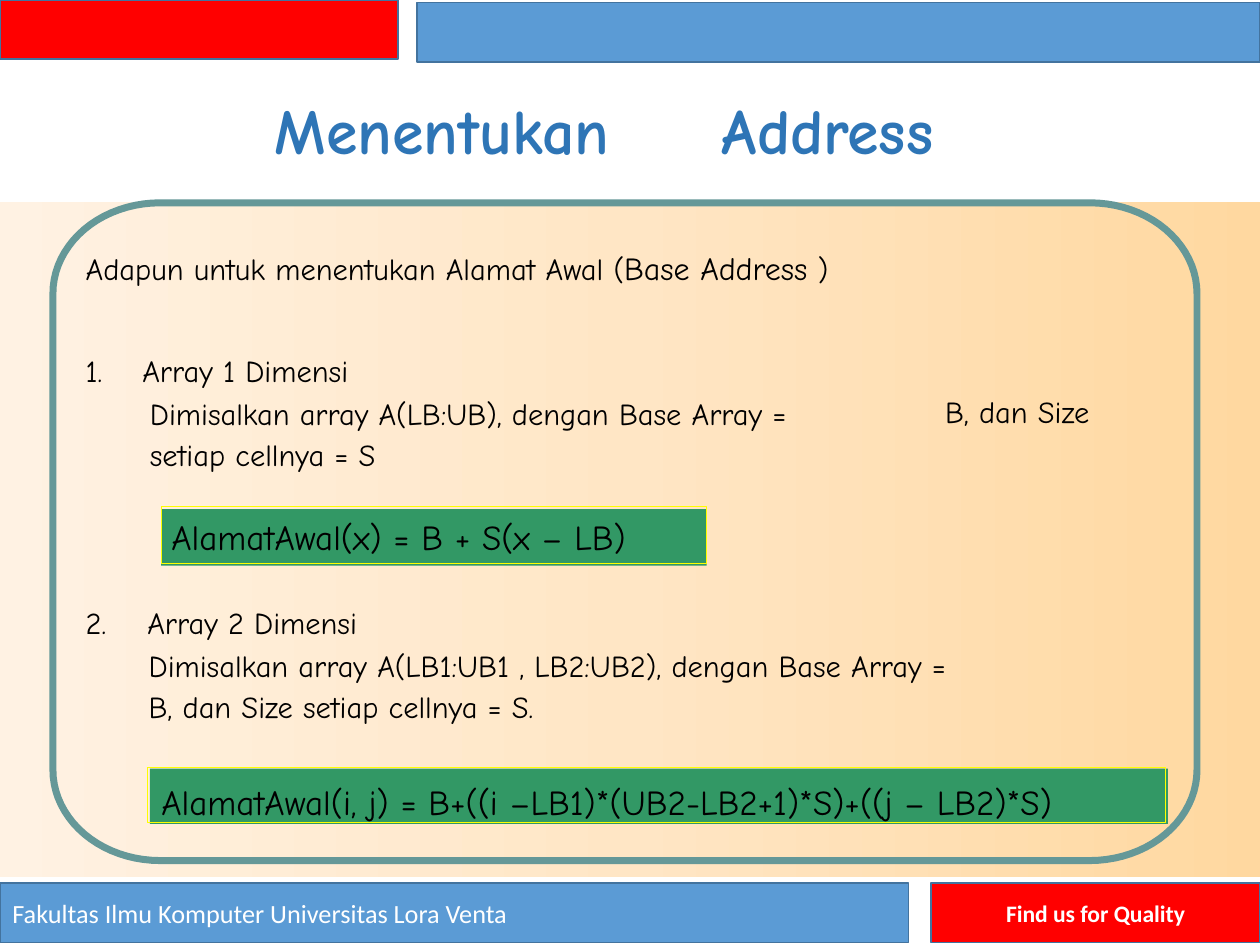
from copy import deepcopy
from math import cos, pi, sin

from pptx import Presentation
from pptx.dml.color import RGBColor
from pptx.enum.shapes import MSO_SHAPE
from pptx.enum.text import MSO_ANCHOR, MSO_AUTO_SIZE, PP_ALIGN
from pptx.oxml.ns import qn
from pptx.util import Inches, Pt

RECT = MSO_SHAPE.RECTANGLE
TOP, MIDDLE = MSO_ANCHOR.TOP, MSO_ANCHOR.MIDDLE
LEFT, CENTER = PP_ALIGN.LEFT, PP_ALIGN.CENTER
NO_FIT = MSO_AUTO_SIZE.NONE

RED = RGBColor(0xFF, 0x00, 0x00)
BLUE = RGBColor(0x5B, 0x9B, 0xD5)
NAVY = RGBColor(0x43, 0x73, 0x9E)
TITLE = RGBColor(0x2E, 0x75, 0xB6)
TEAL = RGBColor(0x65, 0x98, 0x98)
GREEN = RGBColor(0x32, 0x98, 0x65)
YELLOW = RGBColor(0xFE, 0xFE, 0x00)
BLACK = RGBColor(0, 0, 0)
WHITE = RGBColor(0xFF, 0xFF, 0xFF)
SAND = [(0, RGBColor(0xFF, 0xD8, 0xA0)),
        (0.5, RGBColor(0xFF, 0xE6, 0xC5)),
        (1, RGBColor(0xFF, 0xF2, 0xE3))]

COMIC, SANS = "Comic Neue", "Calibri"

# box, fill, text, size, bold, alignment
BARS = [
    ((0, 0, 3.16, 0.47), RED, "", 15, False, LEFT),
    ((3.31, 0.02, 6.69, 0.47), BLUE, "", 15, False, LEFT),
    ((0, 7.01, 7.21, 0.47), BLUE,
     "Fakultas Ilmu Komputer Universitas Lora Venta", 15, False, LEFT),
    ((7.39, 7.01, 2.61, 0.47), RED, "Find us for Quality", 13.5, True, CENTER),
]

# green panel, yellow outline
PANELS = [
    ((1.28, 4.04, 4.33, 0.45), (1.28, 4.02, 4.33, 0.45)),
    ((1.19, 6.1, 8.08, 0.44), (1.17, 6.09, 8.08, 0.44)),
]

# paragraph formats; shift is the raised baseline in percent
HEAD = dict(size=63, shift=1, indent=0.01, line=Pt(44), before=2.2,
            color=TITLE, bold=True)
LEAD = dict(size=30, shift=2, indent=0.01, line=Pt(23.1), before=1.1)
MARK = dict(LEAD, line=Pt(22))
NAME = dict(LEAD, shift=4, line=Pt(22.6))
FORMULA = dict(size=20, shift=0, indent=0.11, line=1.16, before=1)


def body(indent):
    first = dict(LEAD, indent=indent, line=Pt(24), before=0.1)
    return first, dict(first, shift=1, line=Pt(23.4), before=0)


ONE, ONE_END = body(0.07)
TWO, TWO_END = body(0.02)

HEADS = [("Menentukan", (2.17, 0.8, 3.42, 0.61)),
         ("Address", (5.72, 0.8, 2.4, 0.61))]

# box, paragraphs of (runs of (text, size), format)
TEXTS = [
    ((0.67, 2, 7.86, 0.32),
     [([("Adapun untuk menentukan Alamat Awal (", 30),
        ("Base Address ", 31.5), (")", 30)], LEAD)]),
    ((0.67, 2.82, 0.26, 0.31), [("1.", MARK)]),
    ((1.12, 2.82, 6.36, 0.97),
     [("Array 1 Dimensi", NAME),
      ("Dimisalkan array A(LB:UB), dengan Base Array =", ONE),
      ("setiap cellnya = S", ONE_END)]),
    ((7.49, 3.15, 1.51, 0.31), [("B, dan Size", MARK)]),
    ((0.67, 4.82, 0.31, 0.31), [("2.", MARK)]),
    ((1.16, 4.82, 7.94, 0.97),
     [("Array 2 Dimensi", NAME),
      ("Dimisalkan array A(LB1:UB1 , LB2:UB2), dengan Base Array =", TWO),
      ("B, dan Size setiap cellnya = S.", TWO_END)]),
    ((1.17, 6.14, 8.08, 0.44),
     [("AlamatAwal(i, j) = B+((i –LB1)*(UB2-LB2+1)*S)+((j – LB2)*S)",
       FORMULA)]),
    ((1.25, 4.04, 4.33, 0.45), [("AlamatAwal(x) = B + S(x – LB)", FORMULA)]),
]


def paint(shape, fill=None, line=None, width=1):
    shape.shadow.inherit = False
    if fill is None:
        shape.fill.background()
    else:
        shape.fill.solid()
        shape.fill.fore_color.rgb = fill
    if line is None:
        shape.line.fill.background()
    else:
        shape.line.color.rgb = line
        shape.line.width = Pt(width)


def add_rect(slide, box, **look):
    shape = slide.shapes.add_shape(RECT, *map(Inches, box))
    paint(shape, **look)
    return shape


def add_run(para, text, font, size, color, bold=False):
    run = para.add_run()
    run.text = text
    values = dict(name=font, size=Pt(size), bold=bold)
    for key, value in values.items():
        setattr(run.font, key, value)
    run.font.color.rgb = color
    return run


def write(shape, paras):
    frame = shape.text_frame
    values = dict(margin_left=0, margin_top=0, margin_right=0,
                  margin_bottom=0, word_wrap=True, auto_size=NO_FIT,
                  vertical_anchor=TOP)
    for key, value in values.items():
        setattr(frame, key, value)
    for i, (runs, look) in enumerate(paras):
        para = frame.add_paragraph() if i else frame.paragraphs[0]
        para.alignment = LEFT
        para.line_spacing = look["line"]
        para.space_before = Pt(look["before"])
        props = para._p.get_or_add_pPr()
        props.set("marL", str(Inches(look["indent"])))
        props.set("indent", "0")
        if isinstance(runs, str):
            runs = [(runs, look["size"])]
        for text, size in runs:
            run = add_run(para, text, COMIC, size,
                          look.get("color", BLACK), look.get("bold", False))
            if look["shift"]:
                run.font._element.set("baseline", str(look["shift"] * 1000))


def add_sand(slide):
    """Background band that fades from right to left."""
    band = add_rect(slide, (0, 1.6, 10, 5.36))
    band.fill.gradient()
    band.fill.gradient_angle = 180
    stops = band._element.spPr.find(".//" + qn("a:gsLst"))
    stops.append(deepcopy(stops[-1]))
    for stop, (place, color) in zip(band.fill.gradient_stops, SAND):
        stop.position = place
        stop.color.rgb = color


def add_frame(slide):
    """Outline whose corners are quarter ellipses, in 20 steps each."""
    left, top, right, bottom = 0.42, 1.61, 9.5, 6.83
    rx, ry, steps = 0.85, 0.72, 20
    hubs = [(right - rx, bottom - ry), (left + rx, bottom - ry),
            (left + rx, top + ry), (right - rx, top + ry)]
    points = []
    for corner, (x, y) in enumerate(hubs):
        for step in range(steps + 1):
            turn = (corner + step / steps) * pi / 2
            points.append((Inches(x + rx * cos(turn)),
                           Inches(y + ry * sin(turn))))
    path = slide.shapes.build_freeform(*points[0])
    path.add_line_segments(points[1:], close=True)
    paint(path.convert_to_shape(), line=TEAL, width=4)


def main():
    deck = Presentation()
    deck.slide_width, deck.slide_height = Inches(10), Inches(7.5)
    slide = deck.slides.add_slide(deck.slide_layouts[5])
    add_sand(slide)
    for box, fill, text, size, bold, align in BARS:
        bar = add_rect(slide, box, fill=fill, line=NAVY)
        if text:
            bar.text_frame.vertical_anchor = MIDDLE
            para = bar.text_frame.paragraphs[0]
            para.alignment = align
            add_run(para, text, SANS, size, WHITE, bold)
    add_frame(slide)
    for panel, edge in PANELS:
        add_rect(slide, panel, fill=GREEN)
        add_rect(slide, edge, line=YELLOW, width=0.75)

    title = slide.shapes.title
    (first, place), (second, beside) = HEADS
    title.left, title.top, title.width, title.height = map(Inches, place)
    write(title, [(first, HEAD)])
    for box, paras in [(beside, [(second, HEAD)])] + TEXTS:
        write(slide.shapes.add_textbox(*map(Inches, box)), paras)
    deck.save("out.pptx")


if __name__ == "__main__":
    main()
